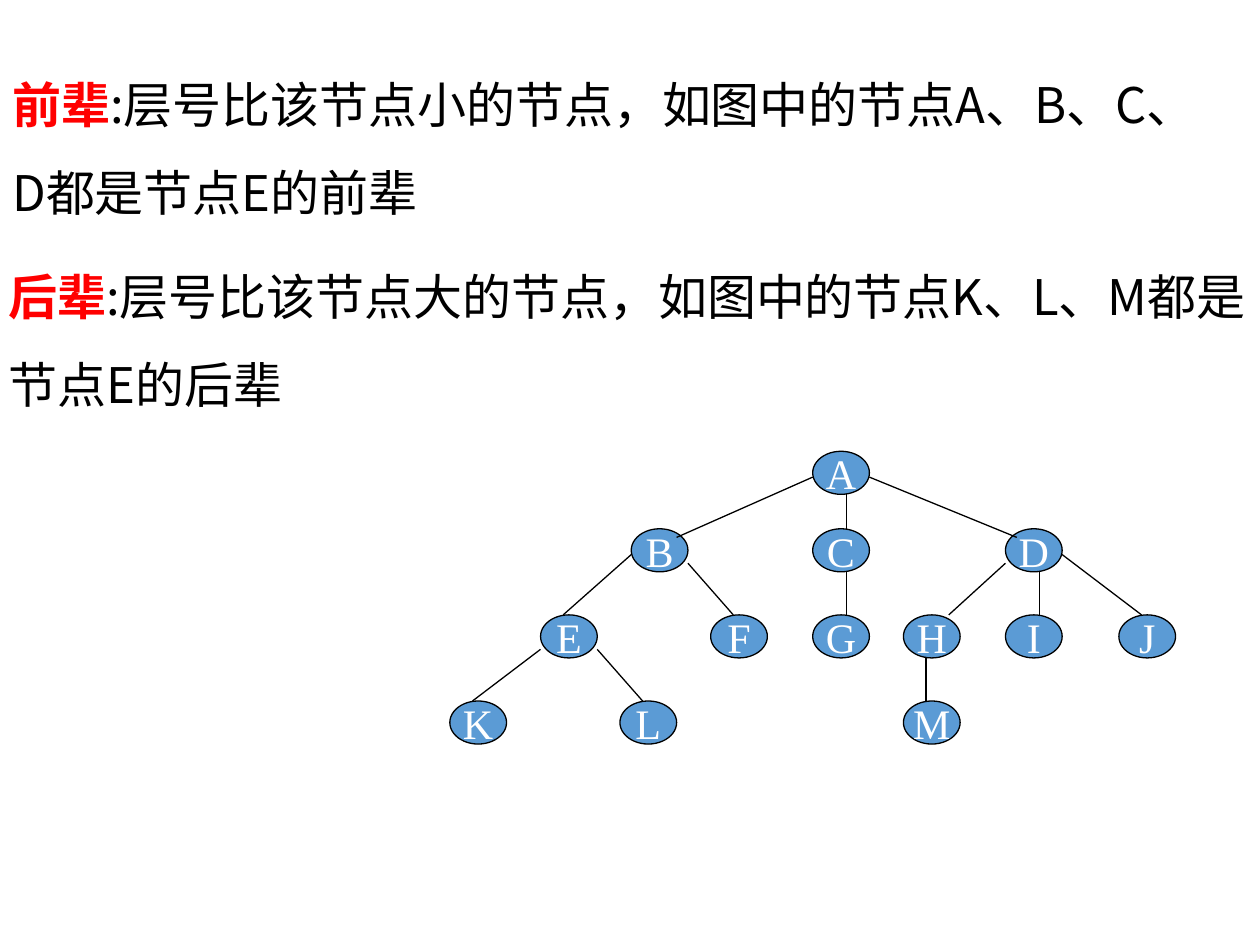
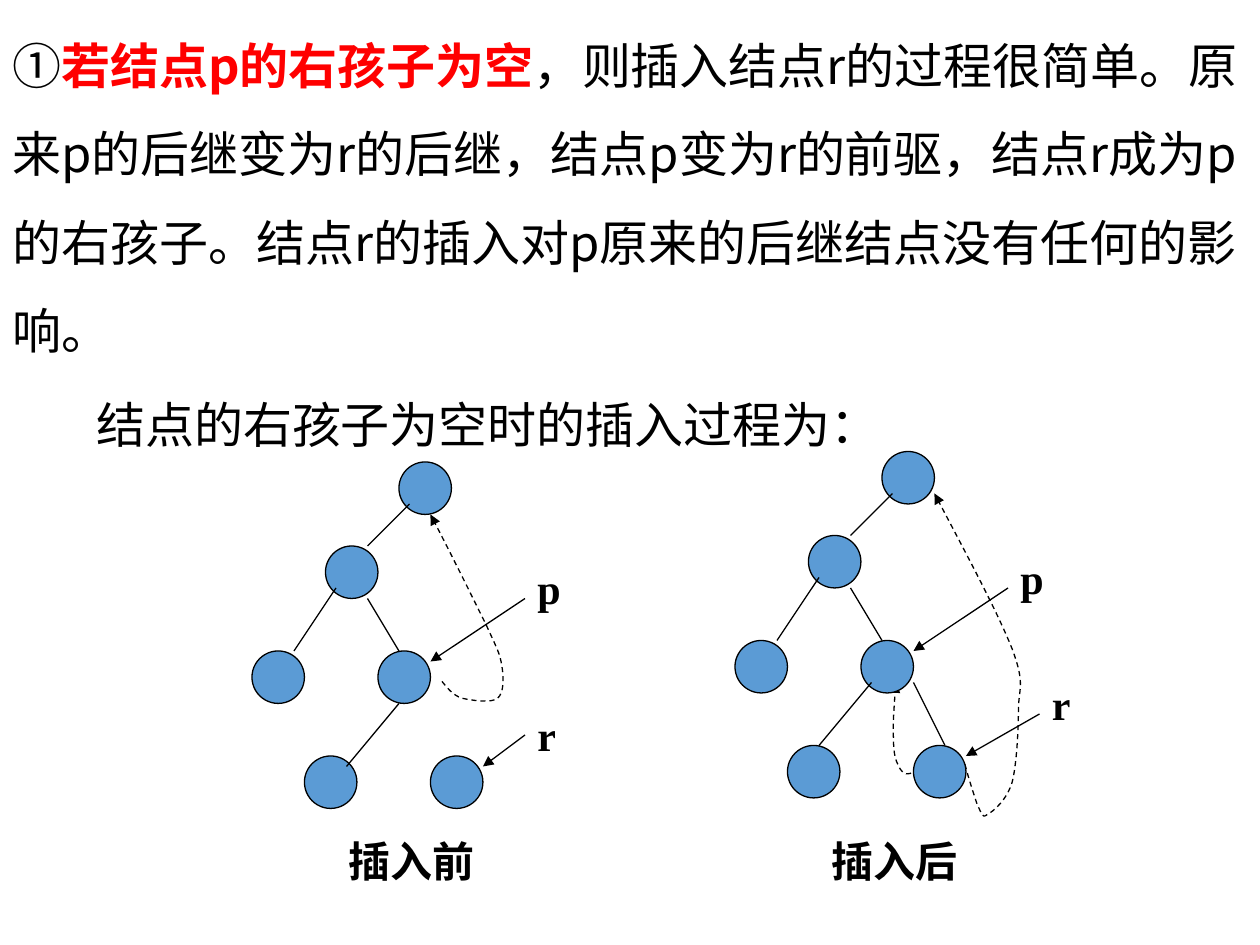
"""Build two slides on tree terms and on inserting into a threaded binary tree."""
from dataclasses import dataclass, field

from lxml import etree
from pptx import Presentation
from pptx import util as u
from pptx.dml.color import RGBColor
from pptx.enum import dml, shapes, text
from pptx.oxml import ns
from pptx.shapes import shapetree as st

Point = tuple[float, float]
Segment = tuple[Point, Point]


@dataclass(frozen=True)
class Theme:
    """Colours, fonts and sizes shared by the slides."""
    ink: str = "000000"
    accent: str = "FF0000"
    node: str = "5B9BD5"
    node_text: str = "FFFFFF"
    cjk: str = "Noto Sans CJK SC"
    serif: str = "Times New Roman"
    sans: str = "Calibri"
    body: float = 28
    label: float = 24
    line: float = 0.75


THEME = Theme()


@dataclass(frozen=True)
class Span:
    """One run of text with its format."""
    text: str
    color: str = THEME.ink
    font: str = THEME.cjk
    size: float = THEME.body
    bold: bool = False


@dataclass(frozen=True)
class Box:
    """A rectangle in points."""
    left: float
    top: float
    width: float
    height: float

    def emu(self) -> list[u.Length]:
        """Return left, top, width and height as lengths."""
        return [u.Pt(v) for v in (self.left, self.top, self.width, self.height)]


@dataclass(frozen=True)
class Grid:
    """A grid on which a tree is drawn; a node spans five by five cells."""
    left: float
    top: float
    dx: float
    dy: float

    def at(self, point: Point) -> tuple[u.Length, u.Length]:
        """Return the place of a grid point."""
        return u.Pt(self.left + point[0] * self.dx), u.Pt(self.top + point[1] * self.dy)

    def box(self, point: Point, cols: float = 5, rows: float = 5) -> Box:
        """Return the box that starts at a grid point."""
        x, y = self.at(point)
        return Box(x.pt, y.pt, cols * self.dx, rows * self.dy)


@dataclass(frozen=True)
class Stage:
    """The parts that differ between the two insertion stages."""
    grid: Grid
    caption: str
    caption_at: Point
    edges: list[Segment]
    r_label: Point
    r_arrow: Segment
    threads: list[list[Point]] = field(default_factory=list)


def apply(target: object, **values: object) -> None:
    """Set each given attribute on the target."""
    for name, value in values.items():
        setattr(target, name, value)


def write(tf, spans: list[Span], **layout: object) -> None:
    """Write one paragraph of formatted runs."""
    p = tf.paragraphs[0]
    apply(p, **layout)
    for span in spans:
        r = p.add_run()
        r.text = span.text
        apply(r.font, size=u.Pt(span.size), name=span.font, bold=span.bold)
        r.font.color.rgb = RGBColor.from_string(span.color)
        etree.SubElement(r.font._element, ns.qn("a:ea"), typeface=THEME.cjk)


def add_text(group: st._BaseGroupShapes, box: Box, spans: list[Span], spacing: float = 1) -> None:
    """Add a wrapping text box."""
    tf = group.add_textbox(*box.emu()).text_frame
    tf.word_wrap = True
    write(tf, spans, line_spacing=spacing)


def stroke(sp, arrow: bool = False, dashed: bool = False) -> None:
    """Draw an object's line in ink, with optional dashes and arrowhead."""
    sp.line.color.rgb = RGBColor.from_string(THEME.ink)
    sp.line.width = u.Pt(THEME.line)
    if dashed:
        sp.line.dash_style = dml.MSO_LINE.DASH
    if arrow:
        ln = sp.element.find(".//" + ns.qn("a:ln"))
        etree.SubElement(ln, ns.qn("a:tailEnd"), type="triangle")


def add_node(group: st._BaseGroupShapes, box: Box, name: str = "") -> None:
    """Add a tree node with an optional letter."""
    sp = group.add_shape(shapes.MSO_SHAPE.OVAL, *box.emu())
    sp.shadow.inherit = False
    sp.fill.solid()
    sp.fill.fore_color.rgb = RGBColor.from_string(THEME.node)
    stroke(sp)
    if name:
        apply(sp.text_frame, word_wrap=False, vertical_anchor=text.MSO_ANCHOR.MIDDLE)
        write(sp.text_frame, [Span(name, THEME.node_text, THEME.serif, THEME.label)],
              alignment=text.PP_ALIGN.CENTER)


def add_line(group: st._BaseGroupShapes, grid: Grid, ends: Segment, arrow: bool = False) -> None:
    """Add a straight line between two grid points."""
    start, end = ends
    sp = group.add_connector(shapes.MSO_CONNECTOR.STRAIGHT, *grid.at(start), *grid.at(end))
    stroke(sp, arrow)
    etree.SubElement(sp.element.spPr, ns.qn("a:effectLst"))


def add_thread(group: st._BaseGroupShapes, grid: Grid, points: list[Point]) -> None:
    """Add a dashed Bezier arrow from a start point and triples of control points."""
    start, *rest = (grid.at(point) for point in points)
    builder = group.build_freeform(*start)
    builder.add_line_segments(rest, close=False)
    sp = builder.convert_to_shape()
    sp.shadow.inherit = False
    sp.fill.background()
    stroke(sp, arrow=True, dashed=True)
    outline = sp.element.find(".//" + ns.qn("a:path"))
    steps = outline.findall(ns.qn("a:lnTo"))
    for i in range(0, len(steps), 3):
        curve = etree.SubElement(outline, ns.qn("a:cubicBezTo"))
        for step in steps[i:i + 3]:
            curve.append(step[0])
            outline.remove(step)


TREE_GRID = Grid(257.04, 257.9, 6.48, 4.92)
TREE_NODES: dict[str, Point] = {
    "A": (32, 0), "B": (16, 9), "C": (32, 9), "D": (49, 9),
    "G": (32, 19), "F": (23, 19), "E": (8, 19), "H": (40, 19), "I": (49, 19), "J": (59, 19),
    "K": (0, 29), "L": (15, 29), "M": (40, 29),
}
TREE_EDGES: list[Segment] = [
    ((35, 5), (35, 9)), ((35, 14), (35, 19)), ((32, 3), (20, 10)), ((37, 3), (50, 10)),
    ((21, 13), (25, 19)), ((16, 12), (10, 19)), ((8, 23), (2, 29)), ((13, 23), (17, 29)),
    ((49, 13), (44, 19)), ((52, 14), (52, 19)), ((54, 12), (61, 19)), ((42, 24), (42, 29)),
]
TERMS = [
    (Box(0, 22.3, 701.3, 108.7), "前辈", ":层号比该节点小的节点，如图中的节点A、B、C、D都是节点E的前辈"),
    (Box(-2.2, 131.8, 722.2, 108.7), "后辈", ":层号比该节点大的节点，如图中的节点K、L、M都是节点E的后辈"),
]

STAGE_NODES: list[Point] = [(38, 44), (31, 52), (24, 62), (36, 62), (29, 72), (41, 72)]
STAGE_EDGES: list[Segment] = [((39, 48), (35, 52)), ((32, 56), (28, 62)), ((35, 57), (38, 62))]
P_LABEL: Point = (50, 53)
P_ARROW: Segment = ((50, 57), (41, 63))
STAGES = [
    Stage(Grid(0, 0, 6, 6), "插入前", (32, 79), [((38, 67), (33, 73))],
          (50, 67), ((50, 70), (46, 73)),
          [[(42.1, 64.9), (42.6, 65.5), (43.1, 66.2), (44, 66.5),
            (44.9, 66.7), (46.8, 67), (47.4, 66.5), (48, 66), (48, 64.6), (47.8, 63.4),
            (47.6, 62.2), (47.4, 61.9), (46.3, 59.5), (45.1, 57.1), (43.1, 53), (41, 49)]]),
    Stage(Grid(276, -6, 6, 6), "插入后", (32, 80),
          [((37, 66), (32, 72)), ((41, 66), (44, 72))],
          (53, 65), ((53, 69), (46, 73)),
          [[(42.3, 72.6), (41.8, 73.4), (41.5, 74.1), (41.1, 74.4),
            (40.9, 74.7), (40.5, 74.7), (40.3, 74.7), (40, 74.6), (39.8, 74.4), (39.6, 74),
            (39.3, 73.4), (39.1, 72.8), (39.1, 71.4), (39, 70.1), (39.2, 68.1), (39.3, 66)],
           [(45.9, 73.8), (46.3, 75.3), (46.8, 76.8), (47.1, 77.7),
            (47.5, 78.4), (47.5, 79), (48, 78.6), (48.6, 78.3), (49.9, 77.2), (50.4, 75.5),
            (50.8, 74), (51, 70.7), (51, 68.7), (51, 66.5), (51.7, 66.3), (50.4, 62.8),
            (49, 59.3), (46, 53.7), (43, 48)]]),
]


def build_terms(s) -> None:
    """Draw the slide that defines elder and younger nodes."""
    for box, term, meaning in TERMS:
        add_text(s.shapes, box, [Span(term, THEME.accent, bold=True), Span(meaning)], 1.5)
    group = s.shapes.add_group_shape().shapes
    for name, point in TREE_NODES.items():
        add_node(group, TREE_GRID.box(point), name)
    for edge in TREE_EDGES:
        add_line(group, TREE_GRID, edge)


def build_stage(s, stage: Stage) -> None:
    """Draw the tree at one stage of the insertion, with its caption."""
    grid = stage.grid
    group = s.shapes.add_group_shape().shapes
    for thread in stage.threads:
        add_thread(group, grid, thread)
    for point in STAGE_NODES:
        add_node(group, grid.box(point))
    for edge in STAGE_EDGES + stage.edges:
        add_line(group, grid, edge)
    for name, point, arrow in (("p", P_LABEL, P_ARROW), ("r", stage.r_label, stage.r_arrow)):
        add_line(group, grid, arrow, arrow=True)
        add_text(group, grid.box(point, 7, 6),
                 [Span(name, font=THEME.serif, size=THEME.label, bold=True)])
    add_text(s.shapes, grid.box(stage.caption_at, 16, 6),
             [Span(stage.caption, font=THEME.serif, size=THEME.label, bold=True)])


def build_insertion(s) -> None:
    """Draw the slide on inserting when the right child is empty."""
    add_text(s.shapes, Box(0, 0, 720, 211), [
        Span("①", font=THEME.sans),
        Span("若结点p的右孩子为空", THEME.accent, bold=True),
        Span("，则插入结点r的过程很简单。原来p的后继变为r的后继，结点p变为r的前驱，"
             "结点r成为p的右孩子。结点r的插入对p原来的后继结点没有任何的影响。"),
    ], 1.5)
    for stage in STAGES:
        build_stage(s, stage)
    add_text(s.shapes, Box(48, 222, 462, 41), [Span("结点的右孩子为空时的插入过程为：")])


def main() -> None:
    """Build and save the presentation."""
    prs = Presentation()
    apply(prs, slide_width=u.Pt(720), slide_height=u.Pt(540))
    for build in (build_terms, build_insertion):
        build(prs.slides.add_slide(prs.slide_layouts[6]))
    prs.save("out.pptx")


if __name__ == "__main__":
    main()
